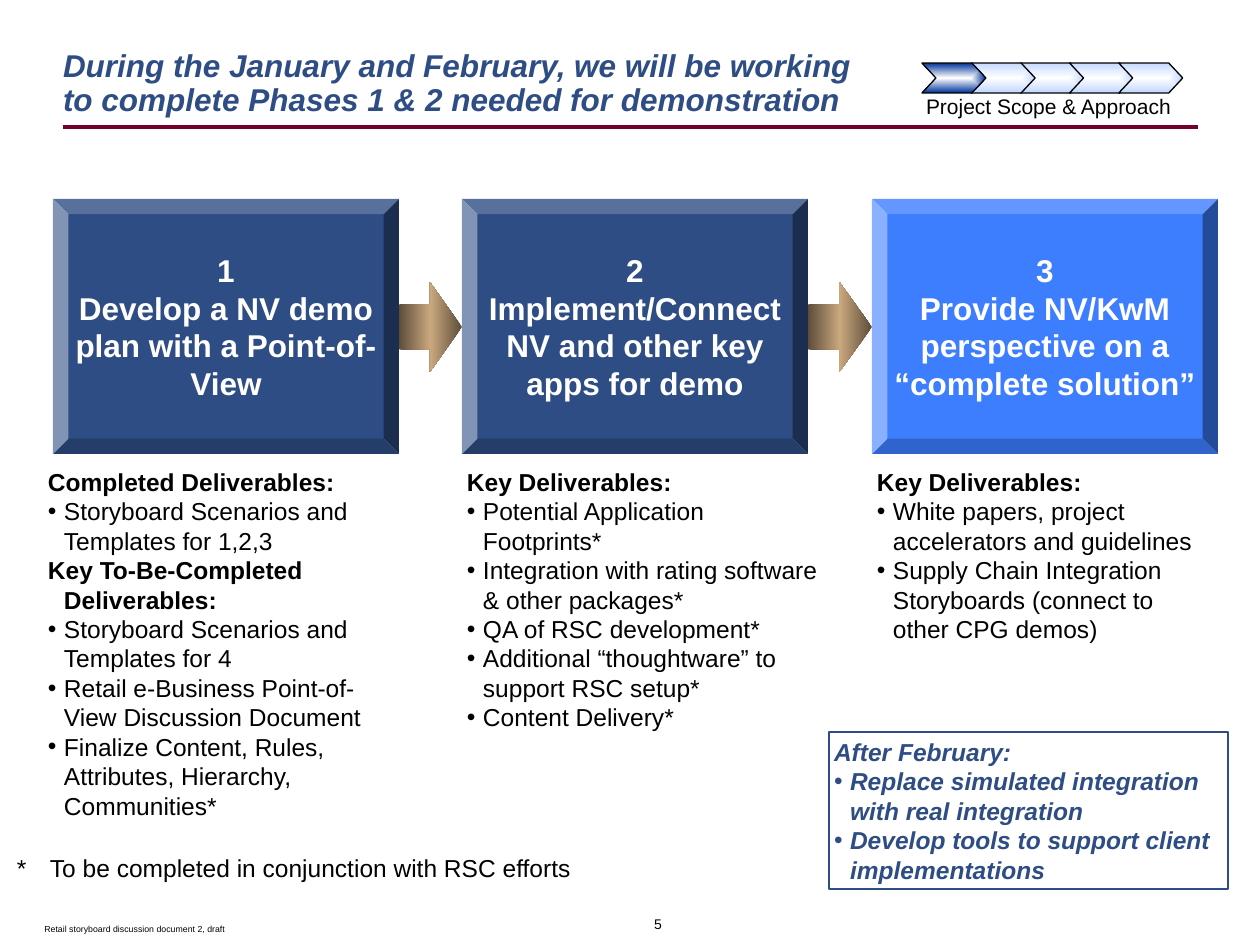
from lxml.etree import SubElement
from pptx import Presentation
from pptx.dml.color import RGBColor as RGB
from pptx.enum.shapes import MSO_CONNECTOR as Conn, MSO_SHAPE as Form
from pptx.enum.text import MSO_ANCHOR as Anchor, MSO_AUTO_SIZE as Fit, PP_ALIGN as Align
from pptx.oxml import parse_xml
from pptx.oxml.ns import nsdecls, qn
from pptx.util import Emu, Pt

NAVY = RGB(0x2E, 0x4D, 0x84)
BLUE = RGB(0x3D, 0x7E, 0xFF)
WINE = RGB(0x76, 0x00, 0x2D)
BLACK = RGB(0, 0, 0)
WHITE = RGB(255, 255, 255)
DEEP = RGB(0x00, 0x33, 0x99)
PALE = RGB(0xC3, 0xD7, 0xFF)
BROWN = RGB(0x5D, 0x4D, 0x3A)
TAN = RGB(0xCA, 0xA8, 0x7E)

TITLE = ("During the January and February, we will be working\v"
         "to complete Phases 1 & 2 needed for demonstration")
# Phases: left edge, fill, box text, then list place and lines (a heading ends with a colon)
PHASES = [
    (53, NAVY, ["1", "Develop a NV demo plan with a Point-of-View"],
     (43, 462, 355, 363), [
        "Completed Deliverables:",
        "Storyboard Scenarios and Templates for 1,2,3",
        "Key To-Be-Completed Deliverables:",
        "Storyboard Scenarios and Templates for 4",
        "Retail e-Business Point-of-View Discussion Document",
        "Finalize Content, Rules, Attributes, Hierarchy, Communities*"]),
    (462, NAVY, ["2", "Implement/Connect NV and other key apps for demo"],
     (462, 462, 368, 304), [
        "Key Deliverables:",
        "Potential Application Footprints*",
        "Integration with rating software & other packages*",
        "QA of RSC development*",
        "Additional “thoughtware” to support RSC setup*",
        "Content Delivery*"]),
    (872, BLUE, ["3", "Provide NV/KwM perspective on a “complete solution”"],
     (872, 462, 340, 186), [
        "Key Deliverables:",
        "White papers, project accelerators and guidelines",
        "Supply Chain Integration Storyboards (connect to other CPG demos)"]),
]
AFTER = ["After February:",
         "Replace simulated integration with real integration",
         "Develop tools to support client implementations"]
NOTE = ["*\tTo be completed in conjunction with RSC efforts"]
BOX_Y, BOX_W, BOX_H = 199, 346, 255
ARROW_Y, ARROW_H = 282, 90
STEP_X, STEP_Y, STEP_GAP, STEP_H = 922, 63, 49.2, 30
STEP_ORDER = [2, 1, 0, 3, 4]  # the first step overlaps the second


def px(n):
    return Emu(round(n * 914400 / 126))


def write(shape, lines, size=14, color=BLACK, bold=False, italic=False, align=Align.LEFT,
          anchor=Anchor.TOP, pad=(5, 5), hang=0, bullets=False, wrap=True, spacing=None):
    frame = shape.text_frame
    frame.auto_size = Fit.NONE
    frame.word_wrap = wrap
    frame.vertical_anchor = anchor
    frame.margin_left = frame.margin_right = px(pad[0])
    frame.margin_top = frame.margin_bottom = px(pad[1])
    for i, line in enumerate(lines):
        para = frame.paragraphs[0] if i == 0 else frame.add_paragraph()
        para.text = line
        para.alignment = align
        if spacing:
            para.line_spacing = spacing
        head = bullets and line.endswith(":")
        if hang:
            props = para._p.get_or_add_pPr()
            props.set("marL", str(px(hang)))
            props.set("indent", str(-px(hang)))
            if bullets and not head:
                SubElement(props, qn("a:buFont"), typeface="Arial")
                SubElement(props, qn("a:buChar"), char="•")
        for gap in para._p.findall(qn("a:br")):
            SubElement(gap, qn("a:rPr"), sz=str(size * 100))
        for run in para.runs:
            font = run.font
            font.name, font.size = "Arial", Pt(size)
            font.bold, font.italic = bold or head, italic
            font.color.rgb = color


def label(box, lines, **form):
    write(slide.shapes.add_textbox(*map(px, box)), lines, **form)


def add_form(kind, box, fill=None):
    shape = slide.shapes.add_shape(kind, *map(px, box))
    shape.shadow.inherit = False
    shape.line.fill.background()
    if fill is None:
        shape.fill.background()
    else:
        shape.fill.solid()
        shape.fill.fore_color.rgb = fill
    return shape


def blend(shape, colors, shade):
    last = len(colors) - 1
    stops = "".join(f'<a:gs pos="{100000 * i // last}"><a:srgbClr val="{c}"/></a:gs>'
                    for i, c in enumerate(colors))
    props = shape._element.spPr
    old = props.find(qn("a:solidFill"))
    props.replace(old, parse_xml(
        f'<a:gradFill {nsdecls("a")} rotWithShape="1"><a:gsLst>{stops}</a:gsLst>{shade}</a:gradFill>'))


LINEAR = '<a:lin ang="10800000" scaled="1"/>'
CENTER = '<a:path path="rect"><a:fillToRect l="50000" t="50000" r="50000" b="50000"/></a:path>'

deck = Presentation()
deck.slide_width, deck.slide_height = px(1260), px(945)
slide = deck.slides.add_slide(deck.slide_layouts[5])

# Title and rule
title = slide.shapes.title
title.left, title.top, title.width, title.height = map(px, (50, 43, 1135, 81))
write(title, [TITLE], size=18, color=NAVY, bold=True, italic=True,
      anchor=Anchor.BOTTOM, pad=(13, 6), spacing=0.9)
rule = slide.shapes.add_connector(Conn.STRAIGHT, px(63), px(127), px(1198), px(127))
rule.line.color.rgb = WINE
rule.line.width = Pt(2)
SubElement(rule._element.spPr, qn("a:effectLst"))

# Footer
label((586, 911, 89, 28), ["5"], size=8, align=Align.RIGHT, pad=(13, 6), wrap=False, spacing=0.9)
label((10, 924, 250, 10), ["Retail storyboard discussion document 2, draft"],
      size=5, align=Align.CENTER, pad=(0, 0))

# Phase boxes with their lists
for left, fill, words, place, lines in PHASES:
    box = add_form(Form.BEVEL, (left, BOX_Y, BOX_W, BOX_H), fill)
    box.adjustments[0] = 0.06
    write(box, words, size=18, color=WHITE, bold=True, align=Align.CENTER, anchor=Anchor.MIDDLE)
    label(place, lines, hang=16, bullets=True)

# Arrows fill the gaps between boxes
for this, after in zip(PHASES, PHASES[1:]):
    start = this[0] + BOX_W
    arrow = add_form(Form.RIGHT_ARROW, (start, ARROW_Y, after[0] - start, ARROW_H), BROWN)
    arrow.adjustments[0], arrow.adjustments[1] = 0.5, 0.51
    blend(arrow, [BROWN, TAN, BROWN], LINEAR)

# Footnote and later work
label((8, 844, 639, 47), NOTE, pad=(9, 9), hang=33, wrap=False)
later = add_form(Form.RECTANGLE, (829, 732, 399, 157))
later.line.color.rgb = NAVY
later.line.width = Pt(0.75)
write(later, AFTER, color=NAVY, bold=True, italic=True, hang=16, bullets=True)

# Progress chevrons
for i in STEP_ORDER:
    x = STEP_X + STEP_GAP * i
    dots = [(px(x + dx), px(STEP_Y + dy)) for dx, dy in
            [(0, STEP_H), (50, STEP_H), (64, STEP_H / 2), (50, 0), (0, 0), (14, STEP_H / 2)]]
    pen = slide.shapes.build_freeform(*dots[0])
    pen.add_line_segments(dots[1:], close=True)
    step = pen.convert_to_shape()
    step.shadow.inherit = False
    step.fill.solid()
    step.line.color.rgb = BLACK
    step.line.width = Pt(0.75)
    blend(step, [WHITE, PALE if i else DEEP], CENTER)
label((913, 88, 284, 38), ["Project Scope & Approach"], size=12, pad=(13, 6))

deck.save("out.pptx")
